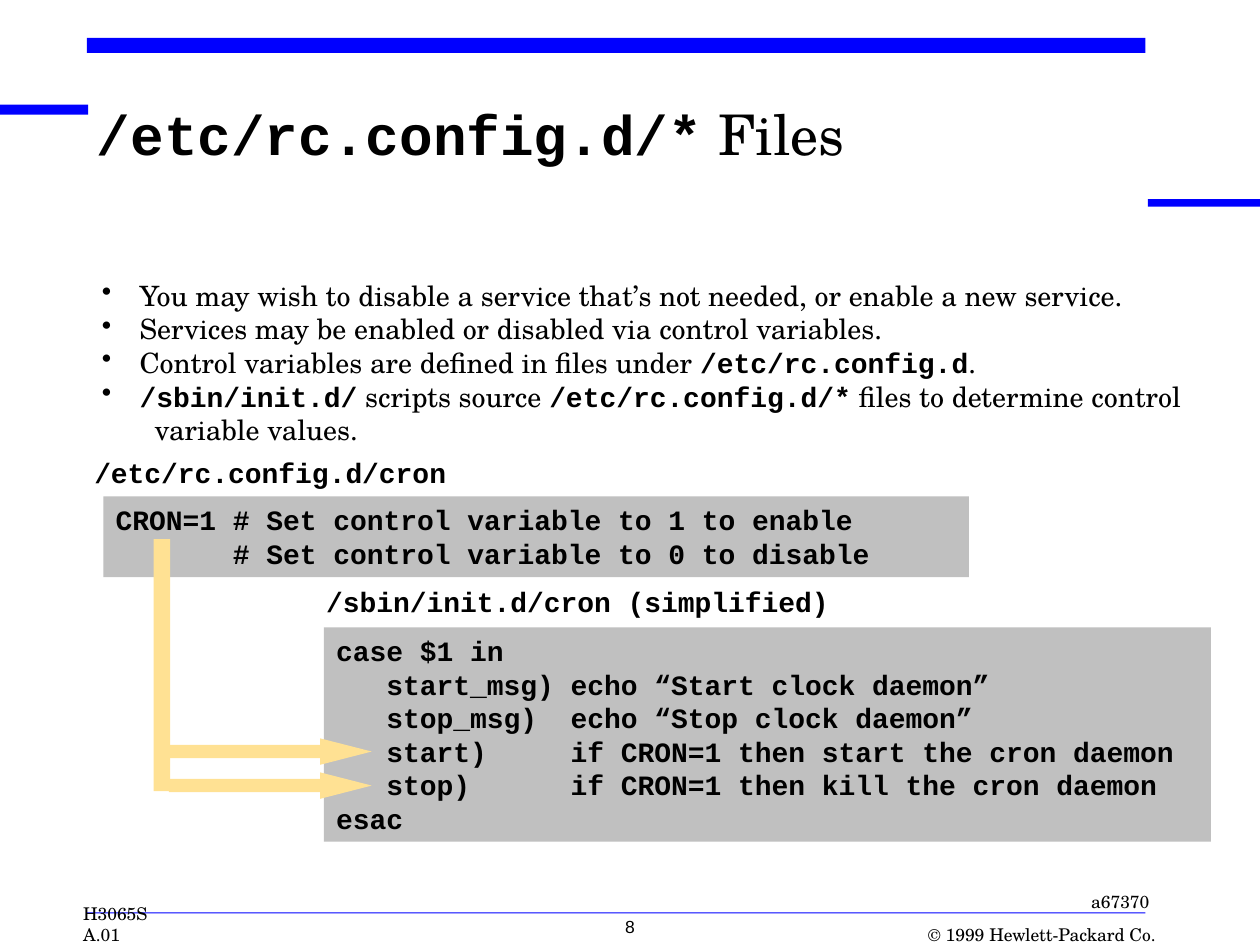
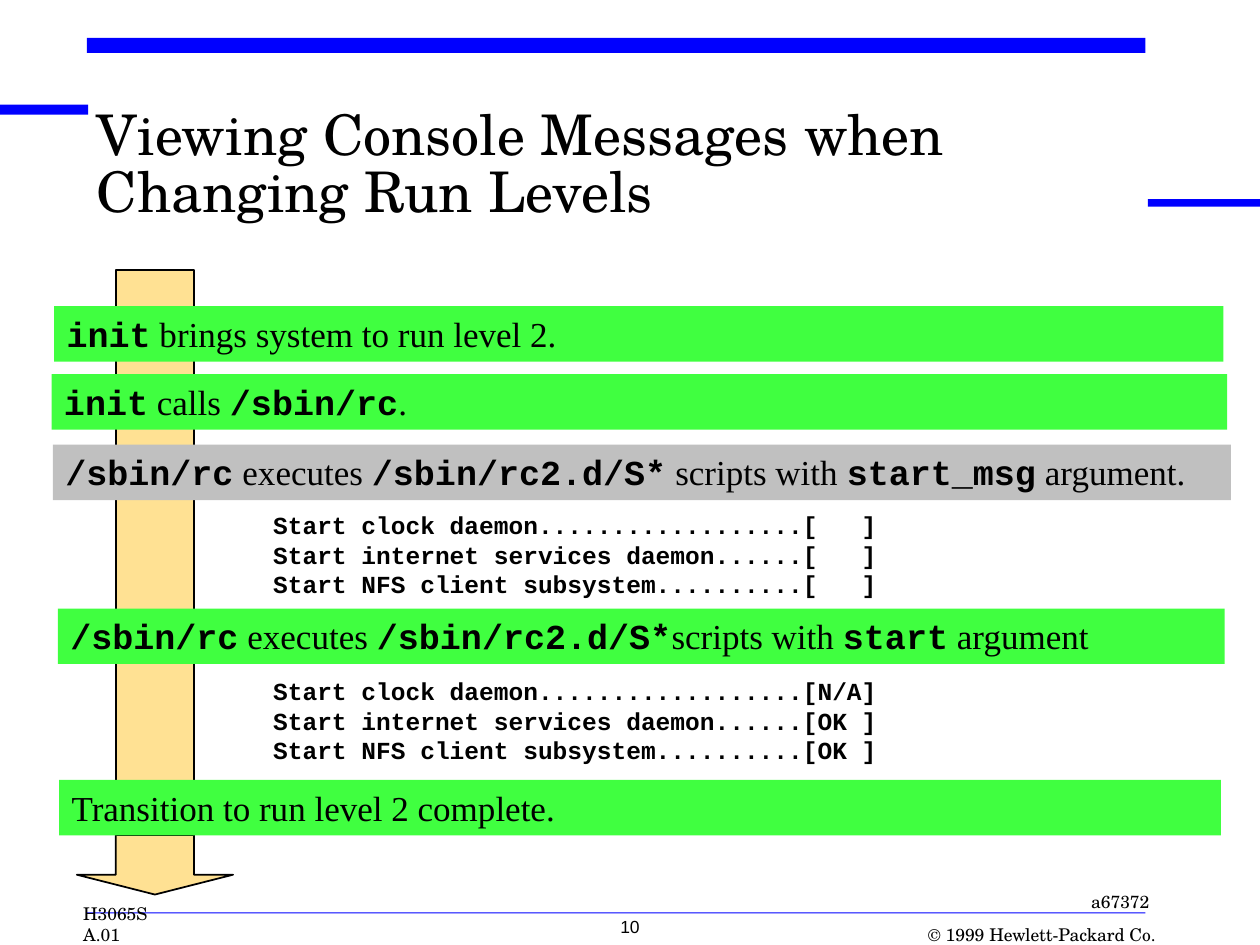
from lxml.etree import SubElement
from pptx import Presentation
from pptx.dml.color import RGBColor as RGB
from pptx.enum.shapes import MSO_SHAPE as SHAPE
from pptx.enum.text import MSO_ANCHOR as ANCHOR, PP_ALIGN as ALIGN
from pptx.oxml.ns import qn
from pptx.util import Inches, Pt

COLORS = {"black": "000000", "blue": "0000FF", "gray": "C0C0C0",
          "green": "40FF40", "sand": "FFE193"}
SERIF, MONO, ROMAN, SANS = "TeX Gyre Schola", "Courier New", "Times New Roman", "Arial"


def add_block(slide, at, fill, kind=SHAPE.RECTANGLE, outlined=False):
    block = slide.shapes.add_shape(kind, *[Inches(v) for v in at])
    block.shadow.inherit = False
    block.fill.solid()
    block.fill.fore_color.rgb = RGB.from_string(COLORS[fill])
    if outlined:
        block.line.color.rgb = RGB.from_string(COLORS["black"])
        block.line.width = Pt(1)
    else:
        block.line.fill.background()
    return block


def add_text(slide, at, text, font=SERIF, size=16, bold=False, fill=None, align=ALIGN.LEFT,
             anchor=ANCHOR.TOP, inset=(0.1, 0.05), spacing=None, bullets=False):
    if fill:
        holder = add_block(slide, at, fill)
    else:
        holder = slide.shapes.add_textbox(*[Inches(v) for v in at])
    frame = holder.text_frame
    frame.word_wrap = True
    frame.vertical_anchor = anchor
    frame.margin_left = frame.margin_right = Inches(inset[0])
    frame.margin_top = frame.margin_bottom = Inches(inset[1])
    for i, line in enumerate(text.split("\n")):
        para = frame.paragraphs[0] if i == 0 else frame.add_paragraph()
        para.alignment = align
        if spacing:
            para.line_spacing = spacing
        if bullets:
            props = para._p.get_or_add_pPr()
            if line.startswith("• "):
                line = line[2:]
                props.set("marL", str(Inches(0.3)))
                props.set("indent", str(-Inches(0.3)))
                SubElement(props, qn("a:buChar")).set("char", "•")
            else:
                props.set("marL", str(Inches(0.42)))
                props.set("indent", "0")
                SubElement(props, qn("a:buNone"))
        for j, part in enumerate(line.split("`")):
            if part:
                is_code = j % 2 == 1
                run = para.add_run()
                run.text = part
                run.font.name = MONO if is_code else font
                run.font.size = Pt(size)
                run.font.bold = bold or is_code
                run.font.color.rgb = RGB.from_string(COLORS["black"])


prs = Presentation()
prs.slide_width, prs.slide_height = Inches(10), Inches(7.5)

bands = [(0, 0.83, 0.7, 0.08), (0.69, 0.3, 8.4, 0.12),
         (9.11, 1.58, 0.89, 0.06), (0.69, 7.24, 8.4, 0.01)]
pages = [("`/etc/rc.config.d/*` Files", "a67370", "8"),
         ("Viewing Console Messages when Changing Run Levels", "a67372", "10")]
slides = []
for title, figure_code, number in pages:
    slide = prs.slides.add_slide(prs.slide_layouts[6])
    slides.append(slide)
    for band in bands:
        add_block(slide, band, "blue")
    add_text(slide, (7, 7.33, 2.17, 0.17), "© 1999 Hewlett-Packard Co.", size=10,
             align=ALIGN.RIGHT, anchor=ANCHOR.BOTTOM, inset=(0, 0))
    add_text(slide, (0.66, 7.33, 0.7, 0.17), "H3065S A.01", size=10,
             anchor=ANCHOR.BOTTOM, inset=(0, 0))
    add_text(slide, (0.77, 0.87, 8.07, 0.67), title, size=32, inset=(0, 0), spacing=0.85)
    add_text(slide, (8.35, 7.02, 0.87, 0.27), figure_code, size=10, align=ALIGN.RIGHT)
    add_text(slide, (3.96, 7.22, 2.08, 0.33), number, font=SANS, size=10, align=ALIGN.CENTER)

config_files, run_levels = slides

listings = [
    ((0.65, 3.57, 8.44, 0.37), None, "/etc/rc.config.d/cron"),
    ((0.82, 3.94, 6.87, 0.64), "gray", """CRON=1 # Set control variable to 1 to enable
       # Set control variable to 0 to disable"""),
    ((2.49, 4.59, 5.4, 0.37), None, "/sbin/init.d/cron (simplified)"),
    ((2.57, 4.98, 7.04, 1.7), "gray", """case $1 in
   start_msg) echo “Start clock daemon”
   stop_msg)  echo “Stop clock daemon”
   start)     if CRON=1 then start the cron daemon
   stop)      if CRON=1 then kill the cron daemon
esac"""),
]
for at, fill, code in listings:
    add_text(config_files, at, code, font=MONO, bold=True, fill=fill)

for top in (5.86, 6.13):
    branch = add_block(config_files, (1.34, top, 1.61, 0.21), "sand", SHAPE.RIGHT_ARROW)
    branch.adjustments[1] = 1.95
add_block(config_files, (1.22, 4.28, 0.13, 2), "sand")

add_text(config_files, (0.71, 2.16, 9.06, 1.44),
         """• You may wish to disable a service that’s not needed, or enable a new service.
• Services may be enabled or disabled via control variables.
• Control variables are defined in files under `/etc/rc.config.d`.
• `/sbin/init.d/` scripts source `/etc/rc.config.d/*` files to determine control
variable values.""", bullets=True)

arrow_head = add_block(run_levels, (0.61, 6.47, 1.24, 0.63), "sand", SHAPE.DOWN_ARROW, True)
arrow_head.adjustments[1] = 0.25
add_block(run_levels, (0.92, 2.14, 0.62, 4.49), "sand", outlined=True)

steps = [
    (0.43, 2.43, 9.28, "green", "`init` brings system to run level 2."),
    (0.41, 2.97, 9.33, "green", "`init` calls `/sbin/rc`."),
    (0.42, 3.53, 9.35, "gray",
     "`/sbin/rc` executes `/sbin/rc2.d/S*` scripts with `start_msg` argument."),
    (0.46, 4.83, 9.26, "green",
     "`/sbin/rc` executes `/sbin/rc2.d/S*`scripts with `start` argument"),
    (0.47, 6.19, 9.22, "green", "Transition to run level 2 complete."),
]
for left, top, width, fill, step in steps:
    add_text(run_levels, (left, top, width, 0.44), step, font=ROMAN, size=20, fill=fill)

services = ["Start clock daemon", "Start internet services daemon", "Start NFS client subsystem"]
for top, statuses in [(4, ["", "", ""]), (5.32, ["N/A", "OK", "OK"])]:
    console = "\n".join(f"{service:.<36}[{status:3}]"
                        for service, status in zip(services, statuses))
    add_text(run_levels, (2.07, top, 5.87, 0.8), console, font=MONO, size=14, bold=True)

prs.save("out.pptx")
